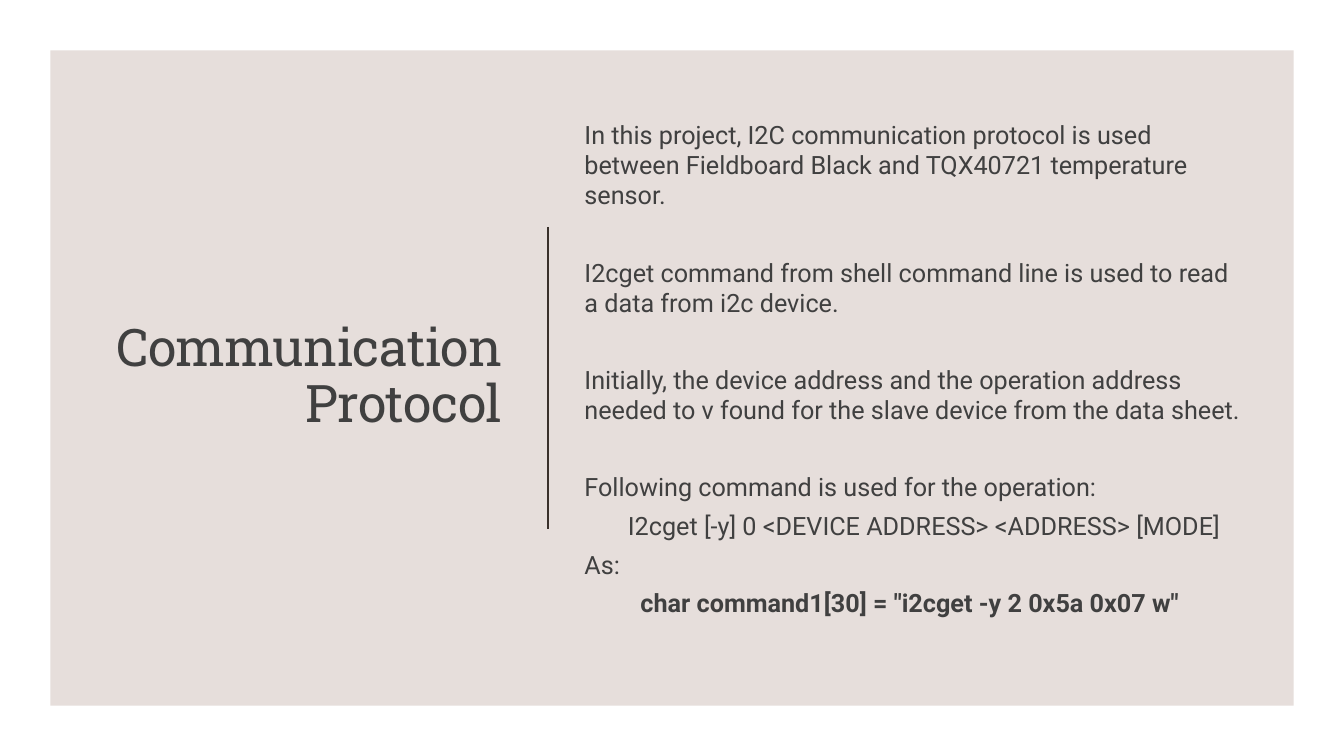
from pptx import Presentation
from pptx import util as u
from pptx.dml.color import RGBColor
from pptx.enum import shapes, text
from pptx.oxml import parse_xml
from pptx.oxml.ns import nsdecls

Pt = u.Pt


def color(code):
    return RGBColor.from_string(code)


class Page:
    ink = "404040"
    panel = "E6DEDB"
    rule = "39302A"
    head = "Roboto Slab"
    body = "Roboto"

    def __init__(self, slide):
        self.slide = slide
        back = slide.background.fill
        back.solid()
        back.fore_color.rgb = color("FFFFFF")

    def rect(self, *box):
        shape = self.slide.shapes.add_shape(
            shapes.MSO_SHAPE.RECTANGLE, *map(Pt, box))
        shape.shadow.inherit = False
        shape.fill.solid()
        shape.fill.fore_color.rgb = color(self.panel)
        shape.line.fill.background()

    def line(self, *ends):
        line = self.slide.shapes.add_connector(
            shapes.MSO_CONNECTOR.STRAIGHT, *map(Pt, ends))
        line.line.color.rgb = color(self.rule)
        line.line.width = Pt(1.5)
        props = line._element.spPr
        props.append(parse_xml(f"<a:effectLst {nsdecls('a')}/>"))

    def frame(self, box, inset):
        frame = self.slide.shapes.add_textbox(*map(Pt, box)).text_frame
        frame.word_wrap = True
        frame.vertical_anchor = text.MSO_ANCHOR.MIDDLE
        frame.margin_left = frame.margin_right = Pt(inset)
        return frame

    def style(self, para, face, size, bold=False):
        for run in para.runs:
            run.font.name = face
            run.font.size = Pt(size)
            run.font.bold = bold
            run.font.color.rgb = color(self.ink)

    def title(self, words, box):
        frame = self.frame(box, 7.2)
        frame.text = words
        para = frame.paragraphs[0]
        para.alignment = text.PP_ALIGN.RIGHT
        para.line_spacing = 0.9
        self.style(para, self.head, 37)
        for run in para.runs:
            run.font._element.set("spc", "-50")

    def prose(self, items, box):
        """Each item is words, space after, left indent and bold."""
        frame = self.frame(box, 0)
        frame.text = "\n".join(item[0] for item in items)
        for para, (_, after, indent, bold) in zip(frame.paragraphs, items):
            para.space_after = Pt(after)
            para._p.get_or_add_pPr().set("marL", str(Pt(indent)))
            self.style(para, self.body, 18, bold)


def main():
    deck = Presentation()
    deck.slide_width, deck.slide_height = Pt(960), Pt(540)
    page = Page(deck.slides.add_slide(deck.slide_layouts[6]))

    near, far = 6, 33.5
    items = [
        ("In this project, I2C communication protocol is used between "
         "Fieldboard Black and TQX40721 temperature sensor.", far, 0, False),
        ("I2cget command from shell command line is used to read a data "
         "from i2c device.", far, 0, False),
        ("Initially, the device address and the operation address needed "
         "to v found for the slave device from the data sheet.",
         far, 0, False),
        ("Following command is used for the operation:", near, 0, False),
        ("I2cget [-y] 0 <DEVICE ADDRESS> <ADDRESS> [MODE]",
         near, 31, False),
        ("As:", near, 0, False),
        ('char command1[30] = "i2cget -y 2 0x5a 0x07 w"', near, 40, True),
    ]

    page.rect(36, 36, 888, 468)
    page.title("Communication Protocol", (67.5, 75.5, 298, 389))
    page.line(391.5, 162, 391.5, 378)
    page.prose(items, (417.5, 45.5, 470, 435.5))
    deck.save("out.pptx")


if __name__ == "__main__":
    main()
